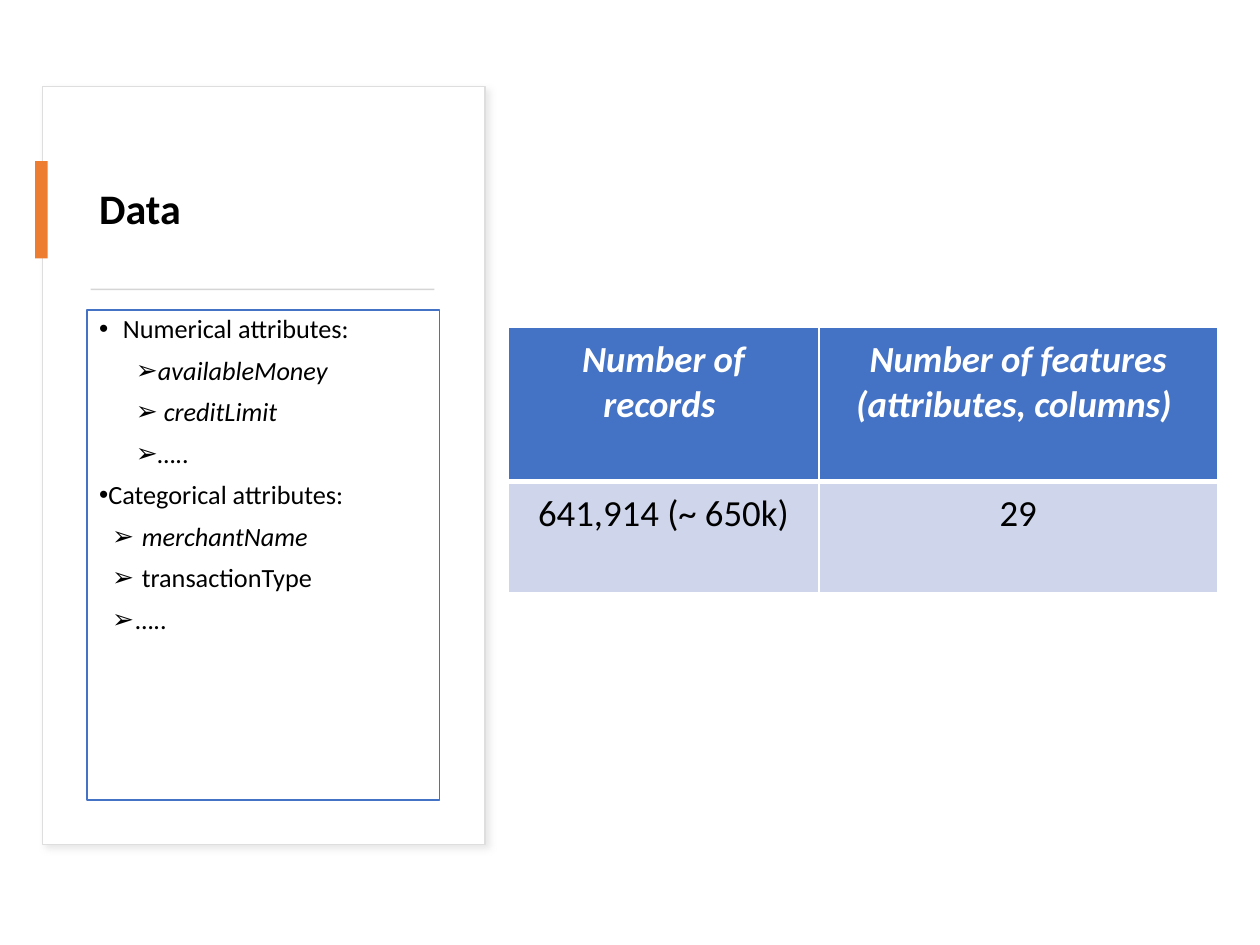
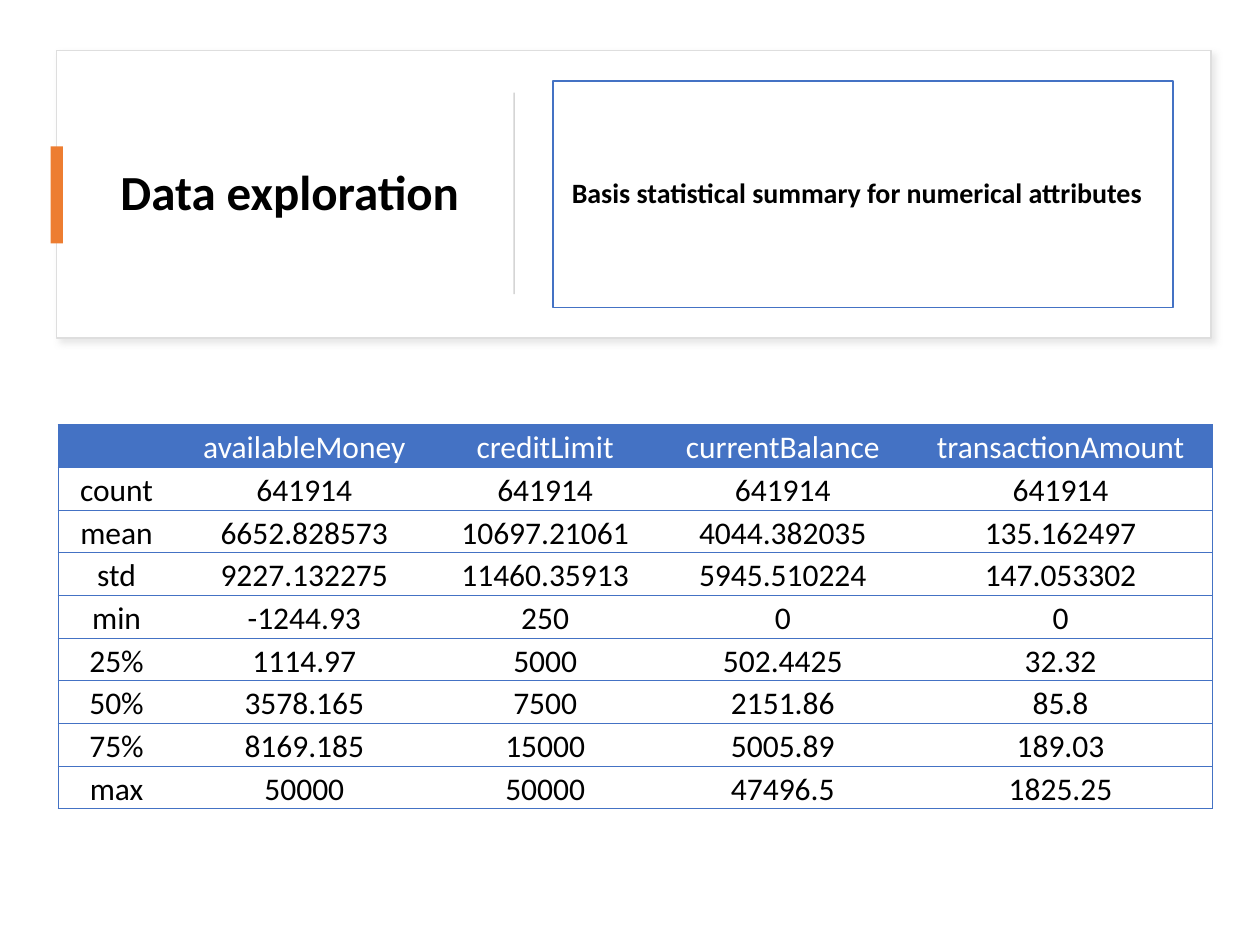
from lxml.etree import SubElement
from pptx import Presentation
from pptx.dml.color import RGBColor
from pptx.enum.shapes import MSO_SHAPE
from pptx.enum.text import MSO_ANCHOR, PP_ALIGN
from pptx.oxml.ns import qn
from pptx.util import Cm, Pt

BLACK = RGBColor(0x00, 0x00, 0x00)
WHITE = RGBColor(0xFF, 0xFF, 0xFF)
BLUE = RGBColor(0x44, 0x72, 0xC4)
PALE = RGBColor(0xCF, 0xD5, 0xEA)
ORANGE = RGBColor(0xED, 0x7D, 0x31)
EDGE = RGBColor(0xDE, 0xDE, 0xDE)
RULE = RGBColor(0xD5, 0xD5, 0xD5)
SHADE = RGBColor(0xD0, 0xD0, 0xD0)
FONT = "Calibri"

NOTES = [
    ("Numerical attributes:", "•", 0.48, -0.48, False),
    ("availableMoney", "➢", 1.17, -0.43, True),
    (" creditLimit", "➢", 1.17, -0.43, True),
    ("…..", "➢", 1.17, -0.43, True),
    ("Categorical attributes:", "•", 0.03, -0.48, False),
    (" merchantName", "➢", 0.74, -0.48, True),
    (" transactionType", "➢", 0.74, -0.48, False),
    ("…..", "➢", 0.74, -0.48, True),
]
COUNTS = [
    ["Number of records ", "Number of features (attributes, columns) "],
    ["641,914 (~ 650k)", "29"],
]
STATS = [
    ["", "availableMoney", "creditLimit", "currentBalance", "transactionAmount"],
    ["count", "641914", "641914", "641914", "641914"],
    ["mean", "6652.828573", "10697.21061", "4044.382035", "135.162497"],
    ["std", "9227.132275", "11460.35913", "5945.510224", "147.053302"],
    ["min", "-1244.93", "250", "0", "0"],
    ["25%", "1114.97", "5000", "502.4425", "32.32"],
    ["50%", "3578.165", "7500", "2151.86", "85.8"],
    ["75%", "8169.185", "15000", "5005.89", "189.03"],
    ["max", "50000", "50000", "47496.5", "1825.25"],
]


def write(frame, text, size=15, color=BLACK, bold=False, italic=False,
          align=PP_ALIGN.LEFT, space=0.9, before=0, bullet="", left=0, hang=0):
    """Add one formatted paragraph to a text frame."""
    para = frame.paragraphs[0]
    if para.runs:
        para = frame.add_paragraph()
    para.alignment, para.line_spacing = align, space
    para.space_before = Pt(before)
    run = para.add_run()
    run.text = text
    font = run.font
    font.name, font.size, font.bold, font.italic = FONT, Pt(size), bold, italic
    font.color.rgb = color
    if bullet:
        props = para._p.get_or_add_pPr()
        props.set("marL", str(Cm(left)))
        props.set("indent", str(Cm(hang)))
        SubElement(props, qn("a:buFont"), typeface="Arial")
        SubElement(props, qn("a:buChar"), char=bullet)


def border(cell, edges):
    """Draw the given cell edges and clear the others."""
    props = cell._tc.get_or_add_tcPr()
    for side in "LRTB":
        width, color = edges.get(side, (0, None))
        line = SubElement(props, qn(f"a:ln{side}"), w=str(Pt(width)))
        if color is None:
            SubElement(line, qn("a:noFill"))
        else:
            fill = SubElement(line, qn("a:solidFill"))
            SubElement(fill, qn("a:srgbClr"), val=str(color))


class Deck:
    """Hold the shared style and the current slide."""

    def __init__(self):
        """Start an empty deck of 4:3 slides."""
        self.show = Presentation()
        self.show.slide_width, self.show.slide_height = Cm(25.4), Cm(19.05)
        self.slide = None

    def page(self):
        """Start a blank slide."""
        self.slide = self.show.slides.add_slide(self.show.slide_layouts[6])

    def box(self, area, fill, line=None, width=1):
        """Add a plain rectangle."""
        shape = self.slide.shapes.add_shape(MSO_SHAPE.RECTANGLE, *map(Cm, area))
        shape.shadow.inherit = False
        shape.fill.solid()
        shape.fill.fore_color.rgb = fill
        if line is None:
            shape.line.fill.background()
        else:
            shape.line.color.rgb = line
            shape.line.width = Pt(width)
        return shape

    def card(self, area, bar, rule, width):
        """Add a shaded card with its orange bar and grey rule."""
        shape = self.box(area, WHITE, EDGE, width)
        glow = SubElement(shape._element.spPr.find(qn("a:effectLst")),
                          qn("a:outerShdw"), blurRad=str(Pt(4)),
                          dist=str(Pt(3)), dir="2700000", algn="tl")
        tint = SubElement(glow, qn("a:srgbClr"), val=str(SHADE))
        SubElement(tint, qn("a:alpha"), val="50000")
        self.box((*bar, 0.25, 1.96), ORANGE)
        self.box(rule, RULE)

    def title(self, text, area, size):
        """Add the slide title."""
        frame = self.slide.shapes.add_textbox(*map(Cm, area)).text_frame
        frame.word_wrap = True
        frame.vertical_anchor = MSO_ANCHOR.MIDDLE
        write(frame, text, size=size, bold=True)

    def panel(self, area, anchor):
        """Add a blue-edged text panel and return its frame."""
        frame = self.box(area, WHITE, BLUE).text_frame
        frame.word_wrap = True
        frame.vertical_anchor = anchor
        return frame

    def table(self, data, spot, cols, rows, size, inset, anchor, fill, edges, head):
        """Add a table with a blue header row."""
        area = (*spot, sum(cols), sum(rows))
        grid = self.slide.shapes.add_table(
            len(rows), len(cols), *map(Cm, area)).table
        grid.horz_banding = False
        for col, width in zip(grid.columns, cols):
            col.width = Cm(width)
        for row, height in zip(grid.rows, rows):
            row.height = Cm(height)
        for r, texts in enumerate(data):
            top = r == 0
            for c, text in enumerate(texts):
                cell = grid.cell(r, c)
                cell.margin_left = cell.margin_right = Cm(inset[0])
                cell.margin_top = cell.margin_bottom = Cm(inset[1])
                cell.vertical_anchor = anchor
                border(cell, edges(r, c))
                cell.fill.solid()
                cell.fill.fore_color.rgb = BLUE if top else fill
                write(cell.text_frame, text, size=size, align=PP_ALIGN.CENTER,
                      space=1.0, color=WHITE if top else BLACK,
                      bold=top and head, italic=top and head)


def white_edges(row, col):
    """Give white edges, thick between header and body."""
    edges = dict.fromkeys("LRTB", (1, WHITE))
    edges["T" if row else "B"] = (3, WHITE)
    return edges


def blue_edges(row, col):
    """Give blue row lines and a blue outer frame."""
    edges = dict.fromkeys("TB", (0.5, BLUE))
    if col == 0:
        edges["L"] = (0.5, BLUE)
    if col == len(STATS[0]) - 1:
        edges["R"] = (0.5, BLUE)
    return edges


def data_page(deck):
    """Build the slide on the data."""
    deck.page()
    deck.card((0.86, 1.75, 8.92, 15.27), (0.71, 3.25),
              (1.83, 5.82, 6.93, 0.03), 0.75)
    deck.title("Data", (1.75, 2.72, 7.11, 3.07), 24)
    frame = deck.panel((1.75, 6.25, 7.11, 9.88), MSO_ANCHOR.TOP)
    for text, mark, left, hang, italic in NOTES:
        write(frame, text, italic=italic, before=7.5,
              bullet=mark, left=left, hang=hang)
    deck.table(COUNTS, (10.24, 6.6), (6.27, 8.03), (3.1, 2.24), 21,
               (0.38, 0.2), MSO_ANCHOR.TOP, PALE, white_edges, True)


def stats_page(deck):
    """Build the slide on the statistics."""
    deck.page()
    deck.card((1.14, 1.02, 23.27, 5.79), (1.02, 2.95),
              (10.35, 1.87, 0.03, 4.06), 1)
    deck.title("Data exploration", (2.18, 1.63, 7.42, 4.57), 28)
    frame = deck.panel((11.15, 1.63, 12.5, 4.57), MSO_ANCHOR.MIDDLE)
    write(frame, " Basis statistical summary for numerical attributes",
          size=16, bold=True, before=7.5)
    deck.table(STATS, (1.17, 8.56), (2.36, 5.21, 4.5, 5.08, 6.12),
               [0.86] * len(STATS), 18, (0.15, 0), MSO_ANCHOR.BOTTOM,
               WHITE, blue_edges, False)


def main():
    """Build and save the deck."""
    deck = Deck()
    data_page(deck)
    stats_page(deck)
    deck.show.save("out.pptx")


if __name__ == "__main__":
    main()
